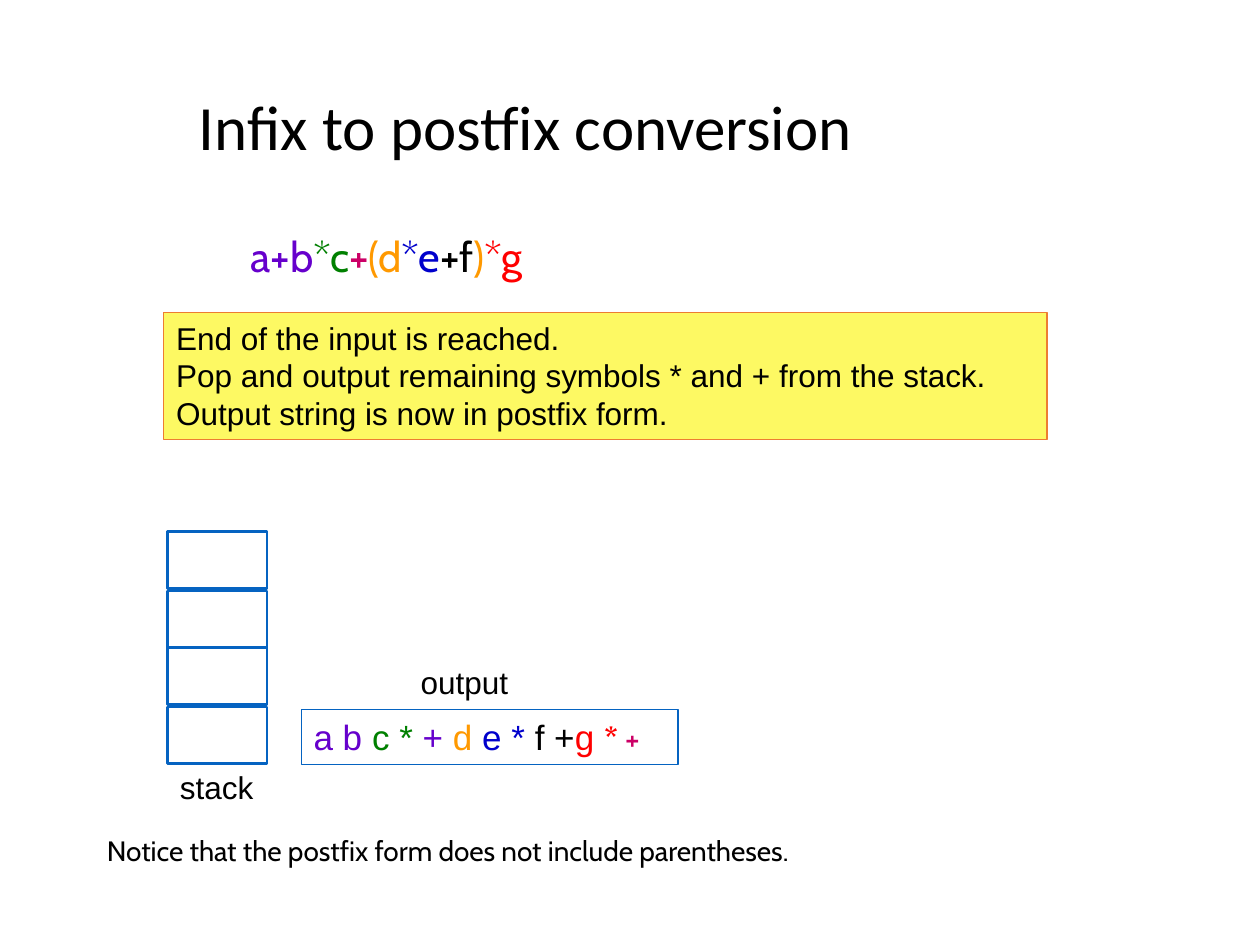
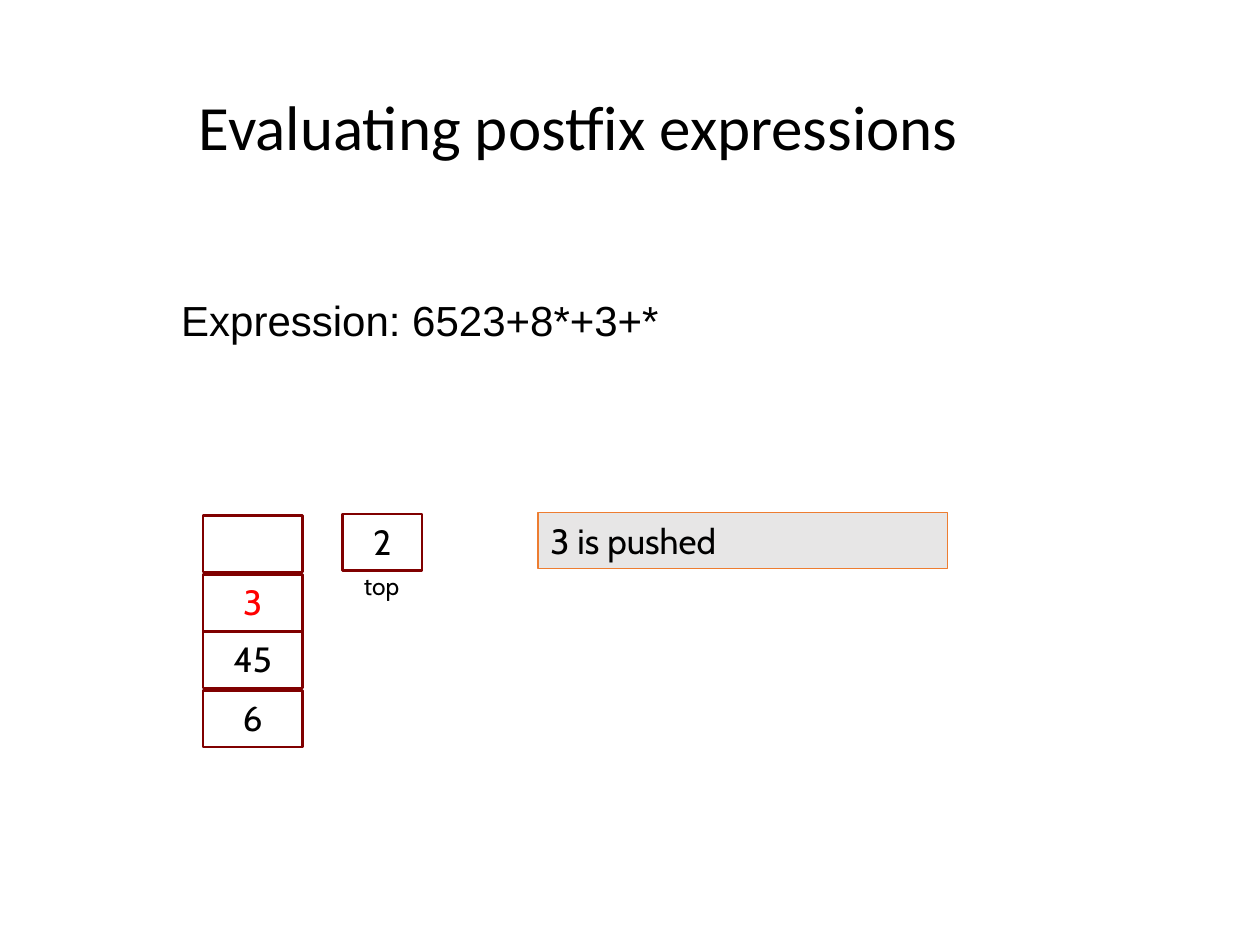
import pptx
import pptx.util
import pptx.dml.color
import pptx.enum.shapes
import pptx.enum.text

Inches = pptx.util.Inches

BLACK = "000000"
RED = "FF0000"
PURPLE = "6600CC"
GREEN = "008000"
ORANGE = "FF9900"
BLUE = "0000CC"
PINK = "CC0066"
STACK_BLUE = "0563C1"
STACK_MAROON = "800000"
NOTE_LINE = "ED7D31"
NOTE_YELLOW = "FDF963"
NOTE_GREY = "E7E6E6"

CELL_WIDTH, CELL_HEIGHT = 0.79, 0.45
CELL_OFFSETS = (0, 0.47, 0.92, 1.39)  # the four cells stand in two pairs


def color(hex_string):
    return pptx.dml.color.RGBColor.from_string(hex_string)


def format_span(span, size, font, hex_string, bold=False):
    span.font.size = pptx.util.Pt(size)
    span.font.name = font
    span.font.bold = bold
    span.font.color.rgb = color(hex_string)


def write_lines(box, text, size, font, hex_string=BLACK, centered=False):
    frame = box.text_frame
    frame.word_wrap = True
    frame.vertical_anchor = pptx.enum.text.MSO_ANCHOR.TOP
    frame.text = text
    align = pptx.enum.text.PP_ALIGN
    for para in frame.paragraphs:
        para.alignment = align.CENTER if centered else align.LEFT
        for span in para.runs:
            format_span(span, size, font, hex_string)


def write_spans(box, spans, size, font):
    """Fill the first paragraph with (text, colour) pairs."""
    write_lines(box, "", size, font)
    para = box.text_frame.paragraphs[0]
    for text, hex_string in spans:
        span = para.add_run()
        span.text = text
        format_span(span, size, font, hex_string)
    return para


def add_text_box(page, left, top, width, height):
    return page.shapes.add_textbox(
        Inches(left), Inches(top), Inches(width), Inches(height))


def add_label(page, text, left, top, width, height, size, font):
    box = add_text_box(page, left, top, width, height)
    write_lines(box, text, size, font)
    return box


def add_title(page, text):
    box = add_label(page, text, 1.48, 0.23, 8.52, 1.6, 36, "Calibri")
    box.text_frame.vertical_anchor = pptx.enum.text.MSO_ANCHOR.MIDDLE
    box.text_frame.paragraphs[0].line_spacing = 0.9


def add_frame(page, left, top, width, height, line, weight, fill=None):
    """Add a rectangle, hollow unless a fill is given."""
    box = page.shapes.add_shape(
        pptx.enum.shapes.MSO_SHAPE.RECTANGLE,
        Inches(left), Inches(top), Inches(width), Inches(height))
    box.shadow.inherit = False
    if fill:
        box.fill.solid()
        box.fill.fore_color.rgb = color(fill)
    else:
        box.fill.background()
    box.line.color.rgb = color(line)
    box.line.width = pptx.util.Pt(weight)
    return box


def add_note(page, text, left, top, width, height, fill, size, font):
    box = add_frame(page, left, top, width, height, NOTE_LINE, 0.75, fill)
    write_lines(box, text, size, font)


def add_cell(page, left, top, width, line, text="", hex_string=BLACK):
    cell = add_frame(page, left, top, width, CELL_HEIGHT, line, 1.5)
    if text:
        write_lines(cell, text, 20, "Cabin", hex_string, centered=True)


def add_stack(page, left, top, line, entries):
    """Draw the stack from the top cell down; entries are (text, colour)."""
    for offset, (text, hex_string) in zip(CELL_OFFSETS, entries):
        add_cell(page, left, top + offset, CELL_WIDTH, line, text, hex_string)


def add_conversion_page(deck):
    page = deck.slides.add_slide(deck.slide_layouts[6])
    add_title(page, "Infix to postfix conversion")

    infix = add_text_box(page, 1.89, 1.78, 5.87, 0.55)
    write_spans(infix, [
        ("a+b", PURPLE), ("*c", GREEN), ("+", PINK), ("(d", ORANGE),
        ("*e", BLUE), ("+f", BLACK), (")", ORANGE), ("*g", RED),
    ], 24, "Cabin")

    add_note(page,
             "End of the input is reached.\n"
             "Pop and output remaining symbols * and + from the stack.\n"
             "Output string is now in postfix form.",
             1.3, 2.48, 7.01, 1.01, NOTE_YELLOW, 18, "Arial")

    add_stack(page, 1.33, 4.22, STACK_BLUE, [("", BLACK)] * 4)
    add_label(page, "stack", 1.33, 6.05, 0.79, 0.4, 18, "Arial")

    add_label(page, "output", 3.24, 5.21, 1.01, 0.4, 18, "Arial")
    output = add_frame(page, 2.39, 5.63, 2.99, 0.44, STACK_BLUE, 0.75)
    para = write_spans(output, [
        ("a b ", PURPLE), ("c * ", GREEN), ("+ ", PURPLE), ("d ", ORANGE),
        ("e * ", BLUE), ("f +", BLACK), ("g ", RED), ("* ", RED), ("+", PINK),
    ], 20, "Arial")
    star, plus = para.runs[-2:]
    format_span(star, 18, "Cabin", RED, bold=True)
    format_span(plus, 18, "Cabin", PINK)

    add_label(page, "Notice that the postfix form does not include parentheses.",
              0.75, 6.57, 7.01, 0.37, 16, "Cabin")


def add_evaluation_page(deck):
    page = deck.slides.add_slide(deck.slide_layouts[6])
    add_title(page, "Evaluating postfix expressions")
    expression = add_label(page, "Expression: 6523+8*+3+*",
                           1.34, 2.33, 8.66, 1.02, 24, "Arial")
    expression.text_frame.paragraphs[0].line_spacing = 0.9

    add_note(page, "3 is pushed", 4.27, 4.07, 3.25, 0.44, NOTE_GREY, 20, "Cabin")
    add_stack(page, 1.61, 4.09, STACK_MAROON,
              [("", BLACK), ("3", RED), ("45", BLACK), ("6", BLACK)])
    add_cell(page, 2.72, 4.08, 0.63, STACK_MAROON, "2")
    add_label(page, "top", 2.79, 4.48, 0.63, 0.33, 14, "Cabin")


def main():
    deck = pptx.Presentation()
    deck.slide_width = Inches(10)
    deck.slide_height = Inches(7.5)
    add_conversion_page(deck)
    add_evaluation_page(deck)
    deck.save("out.pptx")


if __name__ == "__main__":
    main()
